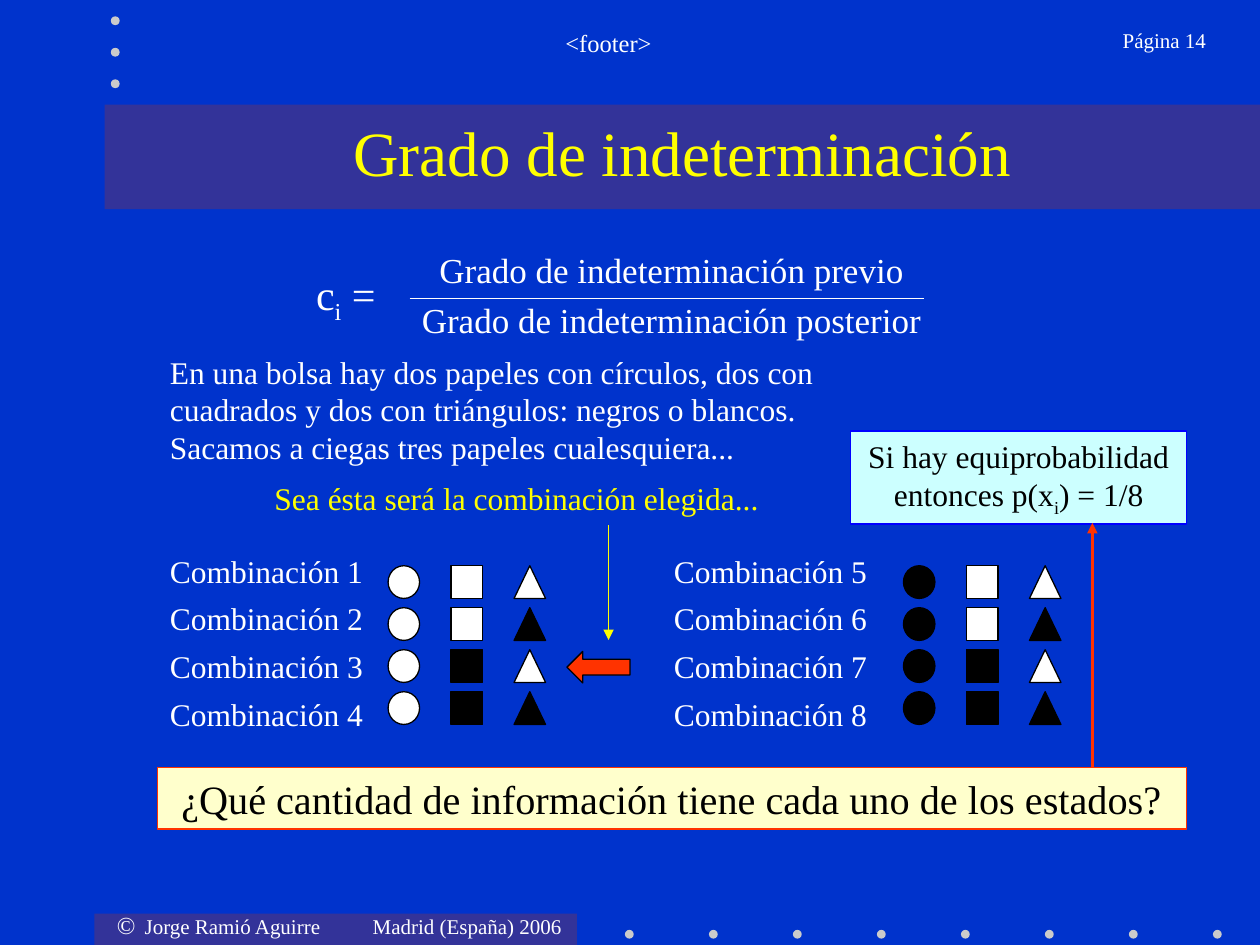
from itertools import product

from lxml import etree
from pptx import Presentation
from pptx.dml.color import RGBColor
from pptx.enum import shapes as kinds, text as styles
from pptx.oxml.ns import qn
from pptx.util import Inches, Pt

FONT = "Times New Roman"
WHITE, BLACK, YELLOW, RED = "FFFFFF", "000000", "FFFF00", "FF3300"
BLUE, BAND, DOT = "0033CC", "333399", "CBCBCB"
LEFT, CENTER, RIGHT = (styles.PP_ALIGN.LEFT, styles.PP_ALIGN.CENTER,
                       styles.PP_ALIGN.RIGHT)
KIND = kinds.MSO_SHAPE

TITLE = "Grado de indeterminación"
FRACTION = ["Grado de indeterminación previo", "Grado de indeterminación posterior"]
COMBINATIONS = [f"Combinación {n}\t\t\tCombinación {n + 4}" for n in range(1, 5)]
CREDIT = [[("©", 14), ("\tJorge Ramió Aguirre\tMadrid (España) 2006", 12)]]

# paragraphs, (left, top, width, height), format; a run is text or (text, size),
# and a run starting with "_" is a subscript
TEXTS = [
    (CREDIT, (0.83, 7.17, 3.74, 0.34), dict(tabs=(0.22, 2.03))),
    (["<footer>"], (1.58, 0.17, 6.5, 0.5), dict(size=14, align=CENTER)),
    (["Página 14"], (8.3, 0.17, 1.37, 0.5), dict(size=12, align=RIGHT)),
    (COMBINATIONS, (1.25, 4.33, 8.17, 1.49), dict(before=5.6, tabs=(2, 3, 4))),
    ([["c", "_i", " ="]], (2.33, 2.08, 0.83, 0.56), dict(size=24, align=CENTER)),
    (["En una bolsa hay dos papeles con círculos, dos con cuadrados y dos con "
      "triángulos: negros o blancos. Sacamos a ciegas tres papeles cualesquiera..."],
     (1.25, 2.75, 5.33, 1), {}),
    (["Sea ésta será la combinación elegida..."], (2.08, 3.75, 4.42, 0.35),
     dict(color=YELLOW)),
]

# paragraphs, place, fill, line, text size
PANELS = [
    (["¿Qué cantidad de información tiene cada uno de los estados?"],
     (1.25, 6.09, 8.17, 0.49), "FFFFCC", RED, 23),
    ([["Si hay equiprobabilidad entonces p(x", "_i", ") = 1/8"]],
     (6.75, 3.42, 2.67, 0.74), "CCFFFF", "0000FF", 18),
]

# start, end, colour, width, arrowhead
LINES = [
    ((3.25, 2.37), (7.33, 2.37), WHITE, 0.75, False),
    ((8.67, 6.09), (8.67, 4.15), RED, 1.5, True),
    ((4.83, 4.17), (4.83, 5.08), YELLOW, 0.75, True),
]

PAPERS = [KIND.OVAL, KIND.RECTANGLE, KIND.ISOSCELES_TRIANGLE]


def rgb(color):
    return RGBColor.from_string(color)


def write(frame, paragraphs, size=18, color=WHITE, align=LEFT, before=0,
          tabs=(), anchor=styles.MSO_ANCHOR.TOP):
    frame.word_wrap = True
    frame.vertical_anchor = anchor
    for side in ("left", "right"):
        setattr(frame, f"margin_{side}", Inches(0.1))
    for side in ("top", "bottom"):
        setattr(frame, f"margin_{side}", Inches(0.05))
    for i, runs in enumerate(paragraphs):
        paragraph = frame.add_paragraph() if i else frame.paragraphs[0]
        paragraph.alignment = align
        paragraph.space_before = Pt(before)
        if tabs:
            stops = etree.SubElement(paragraph._p.get_or_add_pPr(), qn("a:tabLst"))
            for stop in tabs:
                etree.SubElement(stops, qn("a:tab"), pos=str(Inches(stop)), algn="l")
        for part in [runs] if isinstance(runs, str) else runs:
            words, points = (part, size) if isinstance(part, str) else part
            run = paragraph.add_run()
            run.text = words.removeprefix("_")
            for name, value in dict(name=FONT, size=Pt(points)).items():
                setattr(run.font, name, value)
            run.font.color.rgb = rgb(color)
            if words.startswith("_"):
                run.font._element.set("baseline", "-25000")


def add_figure(slide, kind, place, fill, line=None):
    figure = slide.shapes.add_shape(kind, *map(Inches, place))
    figure.shadow.inherit = False
    figure.fill.solid()
    figure.fill.fore_color.rgb = rgb(fill)
    if line:
        figure.line.color.rgb = rgb(line)
        figure.line.width = Pt(0.75)
    else:
        figure.line.fill.background()
    return figure


def add_line(slide, start, end, color, width, arrow):
    line = slide.shapes.add_connector(kinds.MSO_CONNECTOR.STRAIGHT,
                                      *map(Inches, start + end))
    line.line.color.rgb = rgb(color)
    line.line.width = Pt(width)
    if arrow:
        etree.SubElement(line.line._get_or_add_ln(), qn("a:tailEnd"), type="triangle")
    etree.SubElement(line._element.spPr, qn("a:effectLst"))


def fill_placeholder(slide, holder, place, paragraphs, **style):
    """Move the placeholder, bring it to the front and write it without bullets."""
    for name, value in zip(("left", "top", "width", "height"), place):
        setattr(holder, name, Inches(value))
    slide.shapes.element.append(holder.element)
    write(holder.text_frame, paragraphs, align=CENTER, **style)
    for paragraph in holder.text_frame.paragraphs:
        properties = paragraph._p.get_or_add_pPr()
        properties.set("marL", "0")
        properties.set("indent", "0")
        etree.SubElement(properties, qn("a:buNone"))


def add_decoration(slide):
    for place in [(0.75, 7.25, 3.83, 0.25), (0.83, 0.83, 9.17, 0.83)]:
        add_figure(slide, KIND.RECTANGLE, place, BAND)
    bottom = [(4.96 + i * 2 / 3, 7.38) for i in range(8)]
    top = [(0.88, 0.13 + i * 0.25) for i in range(3)]
    for x, y in bottom + top:
        add_figure(slide, KIND.OVAL, (x, y, 0.07, 0.07), DOT)


def add_papers(slide):
    """Draw every choice of white or black for the three papers, four to a column."""
    for n, colors in enumerate(product((WHITE, BLACK), repeat=3)):
        column, row = divmod(n, 4)
        for i, (kind, color) in enumerate(zip(PAPERS, colors)):
            place = (3.08 + column * 4.09 + i * 0.5, 4.49 + row / 3, 0.25, 0.26)
            add_figure(slide, kind, place, color, BLACK)


def main():
    deck = Presentation()
    deck.slide_width, deck.slide_height = Inches(10), Inches(7.5)
    slide = deck.slides.add_slide(deck.slide_layouts[1])
    slide.background.fill.solid()
    slide.background.fill.fore_color.rgb = rgb(BLUE)

    add_decoration(slide)
    fill_placeholder(slide, slide.shapes.title, (1, 0.83, 8.83, 0.75), [TITLE],
                     size=36, color=YELLOW, anchor=styles.MSO_ANCHOR.MIDDLE)
    fill_placeholder(slide, slide.placeholders[1], (1.08, 1.92, 8.5, 1), FRACTION,
                     size=20, before=5)
    for paragraphs, place, style in TEXTS:
        box = slide.shapes.add_textbox(*map(Inches, place))
        write(box.text_frame, paragraphs, **style)
    add_papers(slide)
    for paragraphs, place, fill, line, size in PANELS:
        panel = add_figure(slide, KIND.RECTANGLE, place, fill, line)
        write(panel.text_frame, paragraphs, size, BLACK, CENTER,
              anchor=styles.MSO_ANCHOR.MIDDLE)
    for line in LINES:
        add_line(slide, *line)
    add_figure(slide, KIND.LEFT_ARROW, (4.5, 5.17, 0.5, 0.25), RED, BLACK)
    deck.save("out.pptx")


if __name__ == "__main__":
    main()
